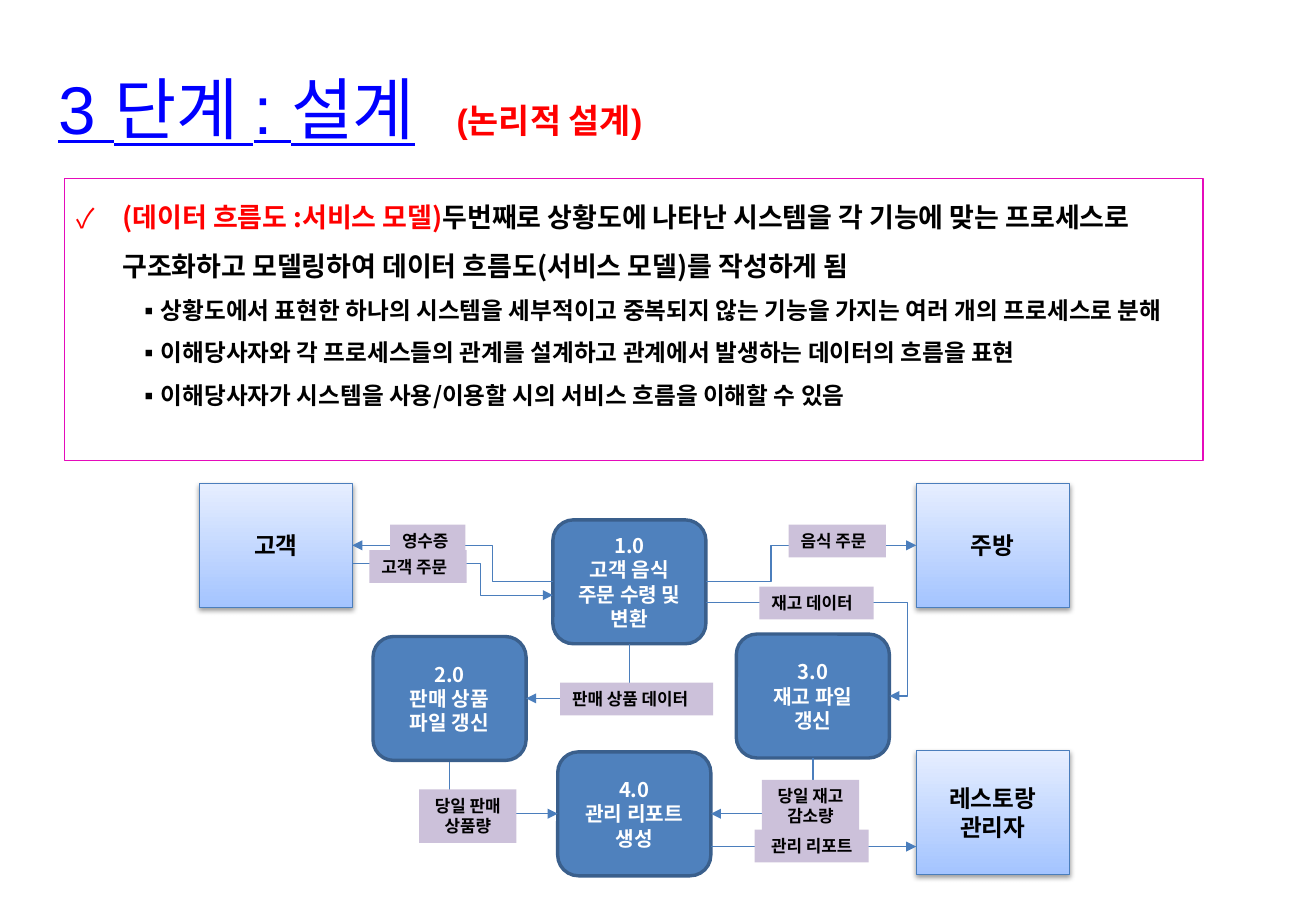
from lxml import etree
from pptx import Presentation
from pptx.dml.color import RGBColor
from pptx.enum.dml import MSO_LINE
from pptx.enum.shapes import MSO_CONNECTOR, MSO_SHAPE
from pptx.enum.text import MSO_ANCHOR, PP_ALIGN
from pptx.oxml import parse_xml
from pptx.oxml.ns import nsdecls, qn
from pptx.util import Inches, Pt

RECT, ROUND = MSO_SHAPE.RECTANGLE, MSO_SHAPE.ROUNDED_RECTANGLE
ELBOW, LINE = MSO_CONNECTOR.ELBOW, MSO_CONNECTOR.STRAIGHT
TOP, MIDDLE = MSO_ANCHOR.TOP, MSO_ANCHOR.MIDDLE
LEFT, CENTER = PP_ALIGN.LEFT, PP_ALIGN.CENTER
SOLID = MSO_LINE.SOLID
GOTHIC = "Noto Sans CJK KR"
BLACK, WHITE, RED, EDGE = "000000", "FFFFFF", "FF0000", "4B7EBC"
BOX_W, BOX_H = 1.26, 1.02


def color(text):
    """Turn a hex string into a colour."""
    return RGBColor.from_string(text)


def write(para, text, size=14, ink=BLACK, font=GOTHIC, bold=True, under=False):
    """Add a formatted run to a paragraph."""
    run = para.add_run()
    run.text = text
    face = run.font
    face.size, face.name, face.bold, face.underline = Pt(size), font, bold, under
    face.color.rgb = color(ink)
    if font == GOTHIC:
        east = etree.SubElement(run._r.get_or_add_rPr(), qn("a:ea"))
        east.set("typeface", font)


def fill_text(shape, text, align=LEFT, anchor=TOP, wrap=True, **style):
    """Write each line of text as a paragraph of a shape."""
    frame = shape.text_frame
    frame.word_wrap, frame.vertical_anchor = wrap, anchor
    for i, line in enumerate(text.split("\n")):
        para = frame.add_paragraph() if i else frame.paragraphs[0]
        para.alignment = align
        write(para, line, **style)


def add_box(slide, kind, box, fill=None, edge=None, width=0.75):
    """Add a preset shape without a shadow."""
    shape = slide.shapes.add_shape(kind, *map(Inches, box))
    shape.shadow.inherit = False
    if fill:
        shape.fill.solid()
        shape.fill.fore_color.rgb = color(fill)
    else:
        shape.fill.background()
    if edge:
        shape.line.color.rgb = color(edge)
        shape.line.width = Pt(width)
    else:
        shape.line.fill.background()
    return shape


def add_title(slide, left, top):
    """Add the heading and the red remark beside it."""
    parts = (
        ("3 단계 : 설계", (0, 0, 8.74, 0.77),
         dict(size=40, ink="0000FF", bold=False, under=True)),
        ("(논리적 설계)", (3.28, 0.27, 1.9, 0.44),
         dict(size=20, ink=RED, wrap=False)),
    )
    for text, (x, y, w, h), style in parts:
        area = slide.shapes.add_textbox(*map(Inches, (left + x, top + y, w, h)))
        fill_text(area, text, font="Arial", **style)


def add_bullet(para, mark, left, hang, ink):
    """Give a paragraph a bullet with a hanging indent."""
    props = para._p.get_or_add_pPr()
    props.set("marL", str(Inches(left)))
    props.set("indent", str(-Inches(hang)))
    para.line_spacing = 1.5
    tint = etree.SubElement(props, qn("a:buClr"))
    etree.SubElement(tint, qn("a:srgbClr")).set("val", ink)
    etree.SubElement(props, qn("a:buFont")).set("typeface", GOTHIC)
    etree.SubElement(props, qn("a:buChar")).set("char", mark)


def add_notice(slide, box):
    """Add the framed explanation with its bullets."""
    frame = add_box(slide, RECT, box, edge="E50BBB").text_frame
    frame.word_wrap, frame.vertical_anchor = True, TOP
    para = frame.paragraphs[0]
    para.alignment = LEFT
    add_bullet(para, "✓", 0.38, 0.38, RED)
    write(para, "(데이터 흐름도 :서비스 모델)", size=16, ink=RED)
    write(para, "두번째로 상황도에 나타난 시스템을 각 기능에 맞는 프로세스로 "
          "구조화하고 모델링하여 데이터 흐름도(서비스 모델)를 작성하게 됨", size=16)
    for text in (
        "상황도에서 표현한 하나의 시스템을 세부적이고 중복되지 않는 기능을 가지는 여러 개의 프로세스로 분해",
        "이해당사자와 각 프로세스들의 관계를 설계하고 관계에서 발생하는 데이터의 흐름을 표현",
        "이해당사자가 시스템을 사용/이용할 시의 서비스 흐름을 이해할 수 있음",
    ):
        para = frame.add_paragraph()
        para.alignment, para.level = LEFT, 1
        add_bullet(para, "▪", 0.69, 0.19, BLACK)
        write(para, text)


def add_actor(slide, x, y, text):
    """Add a shaded box for an outside party."""
    shape = add_box(slide, RECT, (x, y, BOX_W, BOX_H), edge=EDGE)
    shape.fill.gradient()
    shape.fill.gradient_angle = 90
    for stop, tone in zip(shape.fill.gradient_stops, ("A4C4FF", "E6EEFF")):
        stop.color.rgb = color(tone)
    shade = parse_xml(
        f'<a:outerShdw {nsdecls("a")} blurRad="{Pt(3.1)}" dist="{Pt(1.6)}" '
        f'dir="5400000" rotWithShape="0"><a:srgbClr val="{BLACK}">'
        '<a:alpha val="38000"/></a:srgbClr></a:outerShdw>')
    shape._element.spPr.find(qn("a:effectLst")).append(shade)
    fill_text(shape, text, align=CENTER, anchor=MIDDLE)


def add_process(slide, x, y, text):
    """Add a rounded process box."""
    shape = add_box(slide, ROUND, (x, y, BOX_W, BOX_H), "4F81BD", "3A5F8C", 2)
    fill_text(shape, text, align=CENTER, anchor=MIDDLE, size=12, ink=WHITE)


def add_flow(slide, start, end, bend=None, corner=False):
    """Add an arrow, straight, with a bend ratio, or with one corner."""
    if corner:
        start, end = end, start
    kind = ELBOW if corner or bend else LINE
    flow = slide.shapes.add_connector(kind, *map(Inches, start + end))
    flow.line.color.rgb = color(EDGE)
    flow.line.width = Pt(0.75)
    flow.line.dash_style = SOLID
    props = flow._element.spPr
    shape = props.find(qn("a:prstGeom"))
    if corner:
        shape.set("prst", "bentConnector2")
    elif bend:
        guide = etree.SubElement(shape.find(qn("a:avLst")), qn("a:gd"))
        guide.set("name", "adj1")
        guide.set("fmla", f"val {round(bend * 100000)}")
    tip = "a:headEnd" if corner else "a:tailEnd"
    etree.SubElement(flow.line._get_or_add_ln(), qn(tip)).set("type", "triangle")
    etree.SubElement(props, qn("a:effectLst"))


def add_chart(slide, left, top):
    """Add the data flow with its parties, processes, arrows and labels."""
    def at(x, y):
        return left + x, top + y

    for x, y, text in ((0, 0, "고객"), (5.9, 0, "주방"), (5.9, 2.2, "레스토랑\n관리자")):
        add_actor(slide, *at(x, y), text)
    for x, y, text in (
        (2.91, 0.3, "1.0\n고객 음식\n주문 수령 및 변환"),
        (1.43, 1.26, "2.0\n판매 상품\n파일 갱신"),
        (4.42, 1.24, "3.0\n재고 파일\n갱신"),
        (2.95, 2.21, "4.0\n관리 리포트 생성"),
    ):
        add_process(slide, *at(x, y), text)
    for start, end, style in (
        ((2.91, 0.81), (1.26, 0.51), dict(bend=0.3)),
        ((1.26, 0.66), (2.91, 0.92), dict(bend=0.64)),
        ((4.17, 0.81), (5.9, 0.51), dict(bend=0.31)),
        ((4.17, 0.98), (5.68, 1.75), dict(bend=1.1)),
        ((3.54, 1.32), (2.69, 1.77), dict(corner=True)),
        ((2.06, 2.29), (2.95, 2.72), dict(corner=True)),
        ((5.05, 2.26), (4.21, 2.72), dict(corner=True)),
        ((4.21, 2.99), (5.9, 2.99), {}),
    ):
        add_flow(slide, at(*start), at(*end), **style)
    for x, y, w, text, align in (
        (1.57, 0.34, 0.62, "영수증", LEFT),
        (1.4, 0.55, 0.8, "고객 주문", LEFT),
        (4.85, 0.34, 0.8, "음식 주문", LEFT),
        (4.61, 0.85, 0.94, "재고 데이터", LEFT),
        (2.97, 1.64, 1.26, "판매 상품 데이터", LEFT),
        (1.81, 2.52, 0.8, "당일 판매\n상품량", CENTER),
        (4.63, 2.44, 0.8, "당일 재고\n감소량", CENTER),
        (4.57, 2.85, 0.94, "관리 리포트", CENTER),
    ):
        h = 0.27 + 0.17 * text.count("\n")
        label = add_box(slide, RECT, (*at(x, y), w, h), "CCC1DA")
        fill_text(label, text, align=align, wrap=False, size=10)


deck = Presentation()
deck.slide_width, deck.slide_height = Inches(10.83), Inches(7.5)
page = deck.slides.add_slide(deck.slide_layouts[6])
add_notice(page, (0.53, 1.47, 9.37, 2.32))
add_chart(page, 1.64, 3.98)
add_title(page, 0.38, 0.5)
deck.save("out.pptx")
